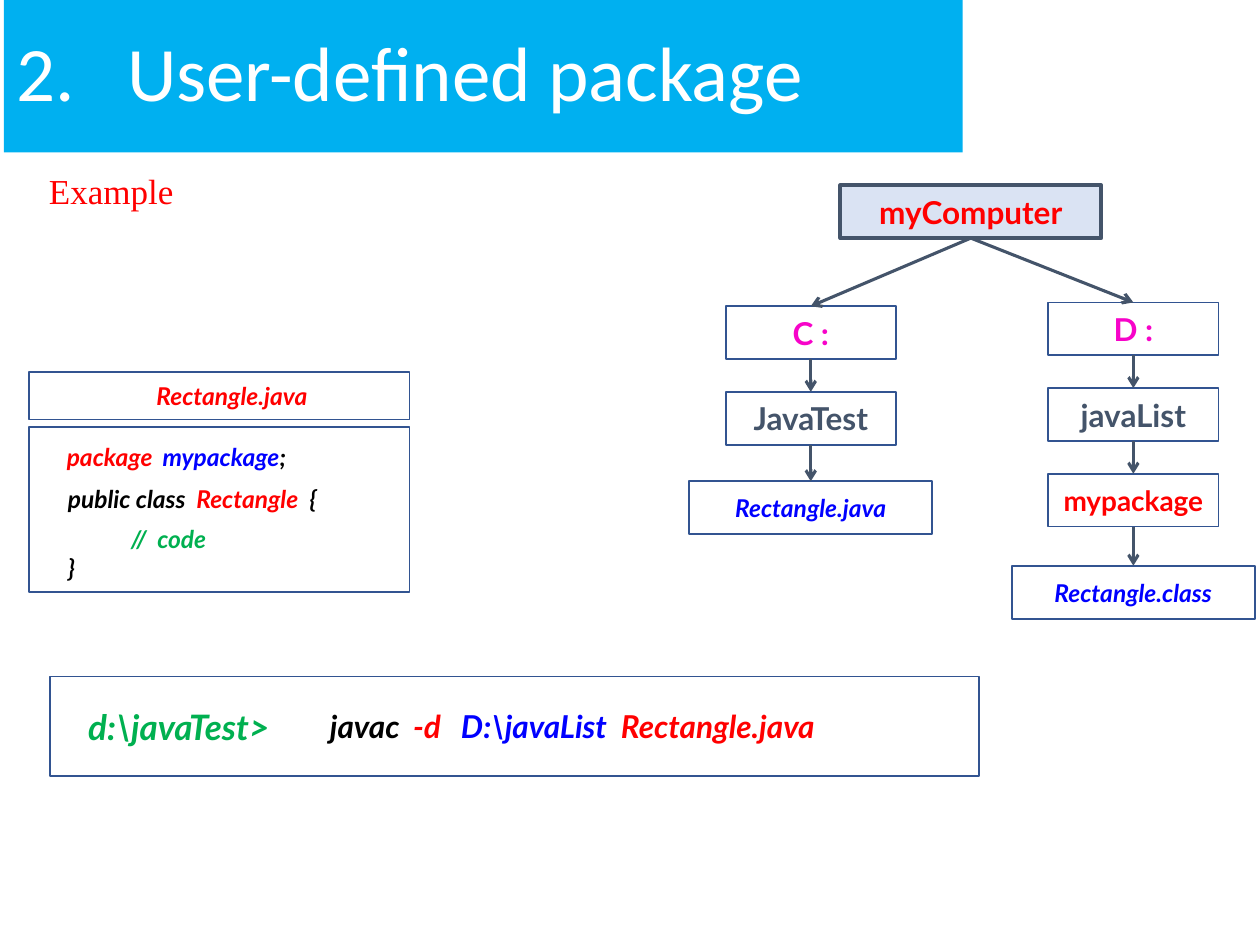
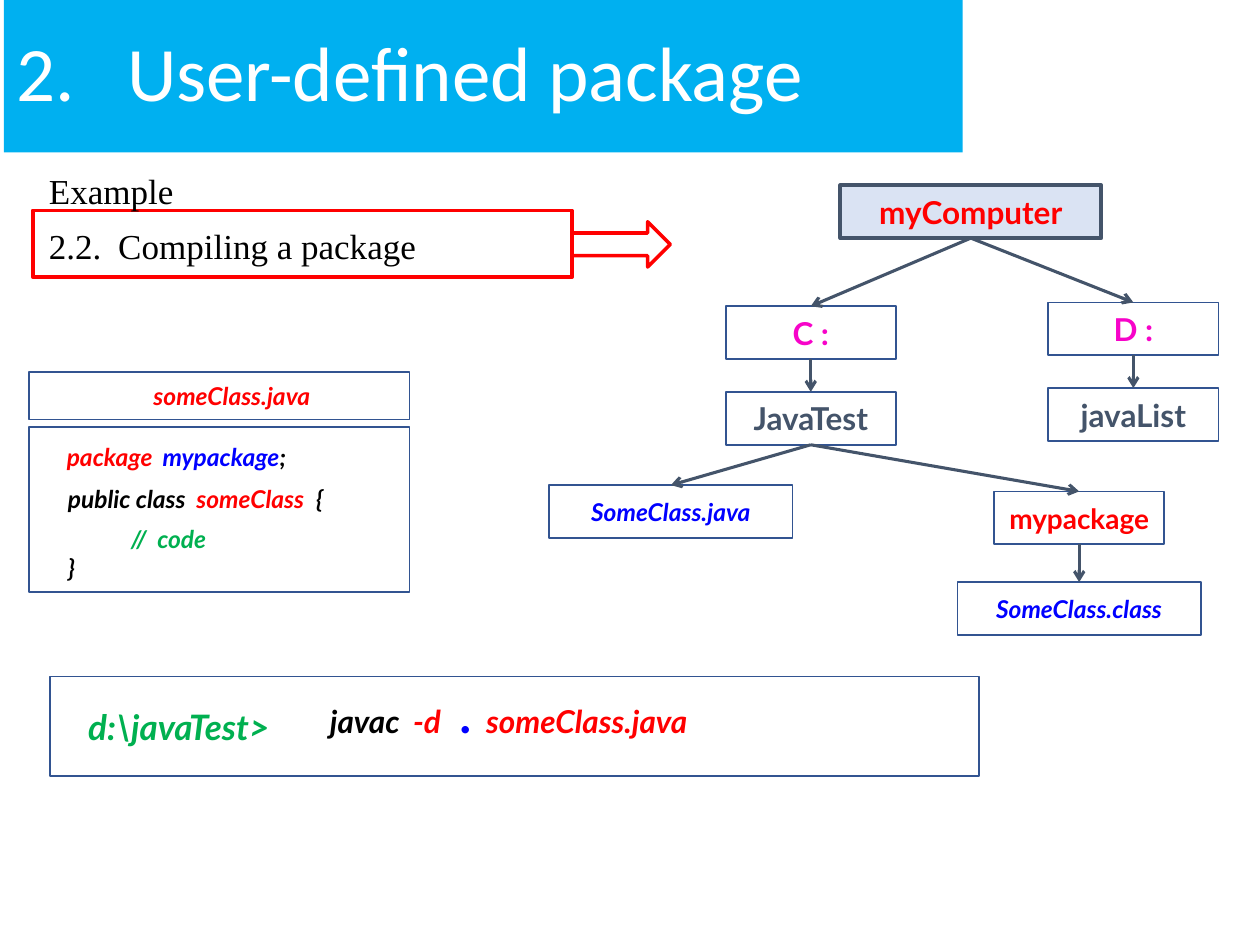
"""Build two slides on compiling a user-defined package."""
import pptx
import pptx.util
import pptx.dml.color
import pptx.enum.shapes
import pptx.enum.text
import pptx.oxml.ns
from lxml import etree

PX = 9144
HUES = {
    "sky": "00B0F0", "white": "FFFFFF", "black": "000000", "red": "FF0000",
    "blue": "0000FF", "green": "00B050", "pink": "F703C9", "slate": "44546A",
    "navy": "325491", "pale": "DAE3F3",
}
KINDS = {
    "root": (207, 18, "red", False),
    "drive": (135, 18, "pink", False),
    "dir": (135, 18, "slate", False),
    "pack": (135, 16, "red", False),
    "file": (193, 14, "blue", True),
}
TITLE = "2.\tUser-defined package"
NODE_H = 42
TREE = [
    ("myComputer", "root", 770, 147, None),
    ("C :", "drive", 643, 243, "myComputer"),
    ("D :", "drive", 899, 240, "myComputer"),
    ("JavaTest", "dir", 643, 311, "C :"),
    ("javaList", "dir", 899, 308, "D :"),
]
SLIDES = [
    {
        "heads": ["Example"], "hue": "red", "frame": False,
        "class": "Rectangle", "brace": 192,
        "tree": [
            ("Rectangle.java", "file", 643, 382, "JavaTest"),
            ("mypackage", "pack", 899, 376, "javaList"),
            ("Rectangle.class", "file", 899, 449, "mypackage"),
        ],
        "dest": ("D:\\javaList", 18), "top": 556, "stop": 231,
    },
    {
        "heads": ["Example", "2.2.\tCompiling a package"],
        "hue": "black", "frame": True,
        "class": "someClass", "brace": 197,
        "tree": [
            ("SomeClass.java", "file", 532, 385, "JavaTest"),
            ("mypackage", "pack", 856, 390, "JavaTest"),
            ("SomeClass.class", "file", 856, 462, "mypackage"),
        ],
        "dest": (".", 28), "top": 538, "stop": 124,
    },
]


def px(num):
    return pptx.util.Emu(int(num * PX))


def rgb(hue):
    return pptx.dml.color.RGBColor.from_string(HUES[hue])


def add_box(slide, rect, fill="white", line="navy", width=1, kind="RECTANGLE"):
    form = getattr(pptx.enum.shapes.MSO_SHAPE, kind)
    box = slide.shapes.add_shape(form, *map(px, rect))
    box.shadow.inherit = False
    box.fill.solid()
    box.fill.fore_color.rgb = rgb(fill)
    if line:
        box.line.color.rgb = rgb(line)
        box.line.width = pptx.util.Pt(width)
    else:
        box.line.fill.background()
    return box


def add_area(slide, rect):
    return slide.shapes.add_textbox(*map(px, rect))


def set_frame(shape, anchor="TOP", left=10, top=5):
    frame = shape.text_frame
    frame.word_wrap = True
    frame.vertical_anchor = getattr(pptx.enum.text.MSO_ANCHOR, anchor)
    frame.margin_left, frame.margin_top = px(left), px(top)
    return frame


def add_line(frame, runs, size, font="Lato", align="LEFT", bold=True,
             slant=True, before=0, space=None, stops=()):
    first = frame.paragraphs[0]
    para = frame.add_paragraph() if first.runs else first
    para.alignment = getattr(pptx.enum.text.PP_ALIGN, align)
    if before:
        para.space_before = pptx.util.Pt(before)
    if space:
        para.line_spacing = space
    if stops:
        tabs = etree.SubElement(para._p.get_or_add_pPr(),
                                pptx.oxml.ns.qn("a:tabLst"))
        for stop in stops:
            etree.SubElement(tabs, pptx.oxml.ns.qn("a:tab"),
                             pos=str(px(stop)), algn="l")
    for text, hue, *own in runs:
        run = para.add_run()
        run.text = text
        run.font.name = font
        run.font.size = pptx.util.Pt(own[0] if own else size)
        run.font.bold, run.font.italic = bold, slant
        run.font.color.rgb = rgb(hue)


def add_arrow(slide, start, end):
    link = slide.shapes.add_connector(
        pptx.enum.shapes.MSO_CONNECTOR.STRAIGHT, *map(px, start + end))
    link.line.color.rgb = rgb("slate")
    link.line.width = pptx.util.Pt(1.75)
    etree.SubElement(link.line._get_or_add_ln(),
                     pptx.oxml.ns.qn("a:tailEnd"), type="arrow")
    etree.SubElement(link._element.spPr, pptx.oxml.ns.qn("a:effectLst"))


def add_heads(slide, data):
    if data["frame"]:
        add_box(slide, (26, 167, 428, 53), line="red", width=2)
        add_box(slide, (454, 176, 78, 36), line="red", width=2,
                kind="RIGHT_ARROW")
    body = set_frame(add_area(slide, (29, 133, 924, 41 * len(data["heads"]))))
    for num, head in enumerate(data["heads"]):
        add_line(body, [(head, data["hue"])], 20, "Times New Roman",
                 bold=False, slant=False, before=10 * num, space=0.9,
                 stops=(55,))
    band = add_box(slide, (3, 0, 761, 121), "sky", None)
    add_line(set_frame(band, "MIDDLE"), [(TITLE, "white")], 44, "Calibri",
             bold=False, slant=False, space=0.9, stops=(88,))


def add_tree(slide, nodes):
    ends = {}
    for name, kind, mid, top, base in nodes:
        wide, size, hue, slant = KINDS[kind]
        left = mid - wide // 2
        look = ("pale", "slate", 2.25) if kind == "root" else ()
        box = add_box(slide, (left, top, wide, NODE_H), *look)
        add_line(set_frame(box, "MIDDLE"), [(name, hue)], size,
                 align="CENTER", slant=slant)
        axis = left + wide / 2
        ends[name] = (axis, top + NODE_H)
        if base:
            add_arrow(slide, ends[base], (axis, top))


def add_code(slide, data):
    name = data["class"]
    code = add_box(slide, (23, 339, 302, 131))
    add_line(set_frame(code, left=30, top=12),
             [("package", "red"), ("\tmypackage", "blue"), (";", "black")],
             14, stops=(76,))
    label = add_box(slide, (23, 295, 302, 38))
    add_line(set_frame(label, "MIDDLE", left=30), [(name + ".java", "red")],
             14, align="CENTER")
    body = set_frame(add_area(slide, (44, 379, 274, 89)))
    add_line(body, [("public class", "black"), ("\t" + name, "red"),
                    ("\t{", "black")], 14, stops=(102, data["brace"]))
    add_line(body, [("\t//\tcode", "green")], 14, before=6, stops=(50, 71))
    add_line(body, [("}", "black")], 14)


def add_shell(slide, data):
    shell = add_box(slide, (40, 537, 737, 79))
    add_line(set_frame(shell, "MIDDLE", left=30),
             [("d:\\javaTest>", "green")], 20)
    dest, size = data["dest"]
    call = add_area(slide, (252, data["top"], 479, 40))
    add_line(set_frame(call),
             [("javac", "black"), ("\t-d", "red"), ("\t", "blue"),
              (dest, "blue", size), ("\t" + data["class"] + ".java", "red")],
             18, stops=(66, 104, data["stop"]))


def main():
    deck = pptx.Presentation()
    deck.slide_width, deck.slide_height = px(1000), px(750)
    for data in SLIDES:
        slide = deck.slides.add_slide(deck.slide_layouts[6])
        add_heads(slide, data)
        add_shell(slide, data)
        add_tree(slide, TREE + data["tree"])
        add_code(slide, data)
    deck.save("out.pptx")


if __name__ == "__main__":
    main()
